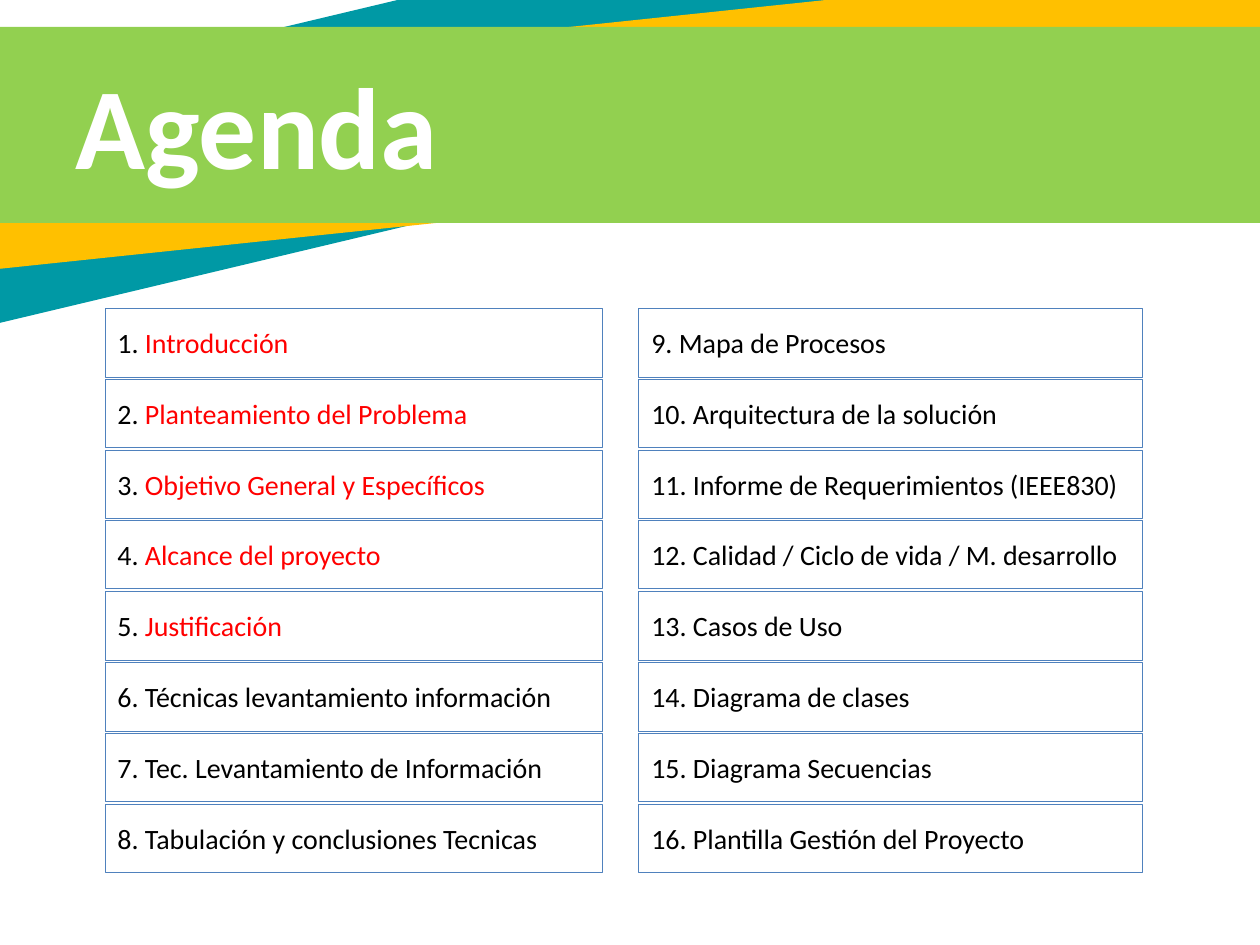
from pptx import Presentation
from pptx.dml.color import RGBColor
from pptx.enum.shapes import MSO_SHAPE as Shape
from pptx.enum.text import MSO_ANCHOR as Anchor, MSO_AUTO_SIZE as AutoSize, PP_ALIGN as Align
from pptx.util import Emu, Pt

PIXEL = 914400 // 126
FONT = "Calibri"
COLORS = {
    "teal": "0099A5", "amber": "FFC000", "green": "92D050", "white": "FFFFFF",
    "border": "4F81BD", "text": "000000", "highlight": "FF0000",
}

# Left, top, width, height, rotation, colour; from back to front
BANDS = [
    (-316, -23, 1646, 222, 346.6, "teal"),
    (-139, 25, 1465, 181, 354, "amber"),
    (-134, 27, 1465, 196, 0, "green"),
]

TOPICS = [
    "Introducción", "Planteamiento del Problema", "Objetivo General y Específicos",
    "Alcance del proyecto", "Justificación", "Técnicas levantamiento información",
    "Tec. Levantamiento de Información", "Tabulación y conclusiones Tecnicas",
    "Mapa de Procesos", "Arquitectura de la solución",
    "Informe de Requerimientos (IEEE830)", "Calidad / Ciclo de vida / M. desarrollo",
    "Casos de Uso", "Diagrama de clases", "Diagrama Secuencias",
    "Plantilla Gestión del Proyecto",
]
HIGHLIGHTED = 5

# Agenda grid: left and width of each column, then the rows
COLUMNS = [(105, 497), (639, 504)]
ROWS = 8
ROW_TOP, ROW_PITCH, ROW_HEIGHT = 308, 70.8, 69


def px(value):
    return Emu(round(value) * PIXEL)


def color(name):
    return RGBColor.from_string(COLORS[name])


def add_rectangle(slide, left, top, width, height):
    shape = slide.shapes.add_shape(
        Shape.RECTANGLE, px(left), px(top), px(width), px(height))
    shape.shadow.inherit = False
    return shape


def add_band(slide, left, top, width, height, rotation, fill):
    shape = add_rectangle(slide, left, top, width, height)
    shape.rotation = rotation
    shape.fill.solid()
    shape.fill.fore_color.rgb = color(fill)
    shape.line.fill.background()
    # Keep the bands behind the title
    slide.shapes.title.element.addprevious(shape.element)


def format_title(title, text):
    title.left, title.top, title.width, title.height = px(63), px(62), px(829), px(122)
    frame = title.text_frame
    frame.text = text
    frame.auto_size = AutoSize.NONE
    frame.vertical_anchor = Anchor.MIDDLE
    paragraph = frame.paragraphs[0]
    paragraph.alignment = Align.LEFT
    font = paragraph.font
    font.name, font.size, font.bold = FONT, Pt(66), True
    font.color.rgb = color("white")


def add_topic(slide, index, topic):
    column, row = divmod(index, ROWS)
    left, width = COLUMNS[column]
    shape = add_rectangle(slide, left, ROW_TOP + row * ROW_PITCH, width, ROW_HEIGHT)
    shape.fill.background()
    shape.line.color.rgb = color("border")
    shape.line.width = Pt(0.5)

    frame = shape.text_frame
    frame.word_wrap = True
    frame.vertical_anchor = Anchor.MIDDLE
    paragraph = frame.paragraphs[0]
    paragraph.alignment = Align.LEFT
    paragraph.font.name, paragraph.font.size = FONT, Pt(16)
    topic_color = "highlight" if index < HIGHLIGHTED else "text"
    for text, name in [(f"{index + 1}. ", "text"), (topic, topic_color)]:
        run = paragraph.add_run()
        run.text = text
        run.font.color.rgb = color(name)


def main():
    presentation = Presentation()
    presentation.slide_width, presentation.slide_height = px(1260), px(945)
    slide = presentation.slides.add_slide(presentation.slide_layouts[5])

    # Header
    for band in BANDS:
        add_band(slide, *band)
    format_title(slide.shapes.title, "Agenda")

    # Agenda topics
    for index, topic in enumerate(TOPICS):
        add_topic(slide, index, topic)

    presentation.save("out.pptx")


main()
